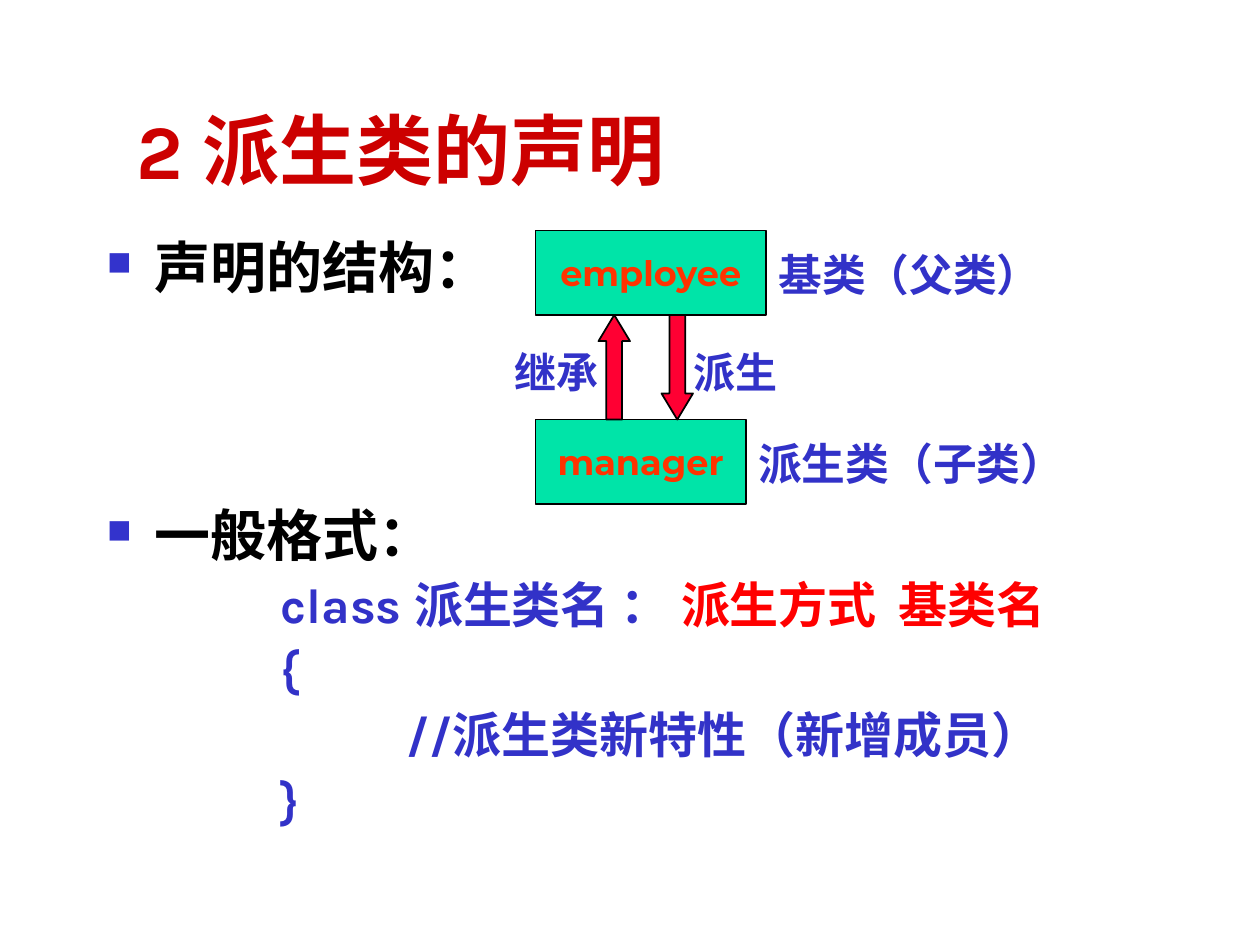
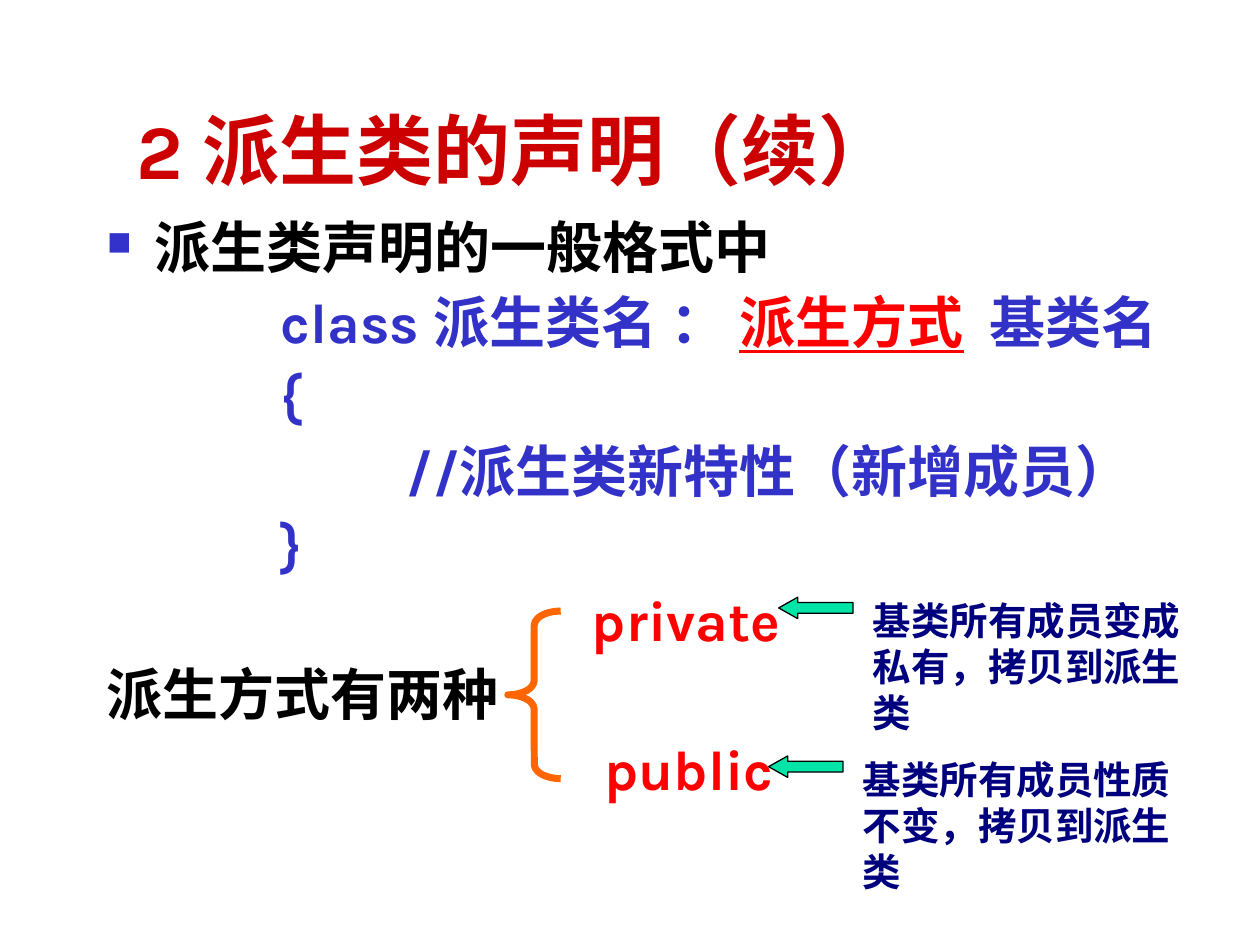
from lxml import etree
from pptx import Presentation
from pptx.dml.color import RGBColor
from pptx.enum.shapes import MSO_SHAPE
from pptx.enum.text import MSO_ANCHOR, MSO_AUTO_SIZE, PP_ALIGN
from pptx.oxml.ns import qn
from pptx.util import Inches, Pt

RECT, UP_ARROW = MSO_SHAPE.RECTANGLE, MSO_SHAPE.UP_ARROW
LEFT_ARROW, LEFT_BRACE = MSO_SHAPE.LEFT_ARROW, MSO_SHAPE.LEFT_BRACE
LEFT, CENTER = PP_ALIGN.LEFT, PP_ALIGN.CENTER
MIDDLE, BOTTOM = MSO_ANCHOR.MIDDLE, MSO_ANCHOR.BOTTOM

COLORS = {
    "title": "CC0000", "text": "000000", "code": "3232C8", "key": "FF0000",
    "bullet": "3333CC", "box": "00E4A8", "box_text": "FF3300",
    "arrow": "FF0033", "line": "000000", "brace": "FF6600", "note": "00007E",
}
BODY_FONT, BOX_FONT, LABEL_FONT = "Karla", "Montserrat", "Times New Roman"
HANG, CODE_INDENT, COMMENT_INDENT = 0.38, 1.38, 2.38


def rgb(name):
    return RGBColor.from_string(COLORS[name])


def format_run(r, size, font, color, underline=False):
    r.font.size = Pt(size)
    r.font.name = font
    r.font.bold = True
    r.font.color.rgb = rgb(color)
    if underline:
        r.font.underline = True


def add_title(s, text):
    sp = s.shapes.title
    sp.left, sp.top, sp.width, sp.height = [Inches(v) for v in (0.98, 0.6, 8.52, 1)]
    tf = sp.text_frame
    tf.text = text
    tf.vertical_anchor = BOTTOM
    tf.auto_size = MSO_AUTO_SIZE.NONE
    p = tf.paragraphs[0]
    p.alignment = LEFT
    format_run(p.runs[0], 44, BODY_FONT, "title")


def add_text_box(s, left, top, width, height):
    sp = s.shapes.add_textbox(*[Inches(v) for v in (left, top, width, height)])
    sp.text_frame.word_wrap = True
    return sp.text_frame


def set_indent(p, left, bullet):
    pPr = p._p.get_or_add_pPr()
    pPr.set("marL", str(Inches(left)))
    pPr.set("indent", str(Inches(-HANG if bullet else 0)))
    if bullet:
        color = etree.SubElement(pPr, qn("a:buClr"))
        etree.SubElement(color, qn("a:srgbClr"), val=COLORS["bullet"])
        etree.SubElement(pPr, qn("a:buSzPct"), val="60000")
        etree.SubElement(pPr, qn("a:buChar"), char="■")


def add_line(tf, parts, size, indent=CODE_INDENT, before=None, bullet=False):
    first = not tf.paragraphs[0].runs
    p = tf.paragraphs[0] if first else tf.add_paragraph()
    set_indent(p, indent, bullet)
    p.line_spacing = 0.9
    if not first:
        p.space_before = Pt(size / 4 if before is None else before)
    for text, color, *underline in parts:
        r = p.add_run()
        r.text = text
        format_run(r, size, BODY_FONT, color, bool(underline))


def add_heading(tf, text, before=None):
    add_line(tf, [(text, "text")], 32, HANG, before, bullet=True)


def add_class_code(tf, size, base_parts):
    add_line(tf, [("class 派生类名 ： ", "code"), *base_parts], size)
    add_line(tf, [("{", "code")], size)
    add_line(tf, [("//派生类新特性（新增成员）", "code")], size, COMMENT_INDENT)
    add_line(tf, [("}", "code")], size)


def add_label(s, text, left, top, width, height, size, color="code", align=LEFT):
    tf = add_text_box(s, left, top, width, height)
    tf.text = text
    p = tf.paragraphs[0]
    p.alignment = align
    format_run(p.runs[0], size, LABEL_FONT, color)


def add_shape(s, kind, left, top, width, height, fill=None, line="line",
              weight=1, adjustments=()):
    sp = s.shapes.add_shape(kind, *[Inches(v) for v in (left, top, width, height)])
    sp.shadow.inherit = False
    if fill:
        sp.fill.solid()
        sp.fill.fore_color.rgb = rgb(fill)
    else:
        sp.fill.background()
    sp.line.color.rgb = rgb(line)
    sp.line.width = Pt(weight)
    for i, value in enumerate(adjustments):
        sp.adjustments[i] = value
    return sp


def add_class_box(s, name, role, top, width):
    left = 4.25
    sp = add_shape(s, RECT, left, top, width, 0.67, "box")
    tf = sp.text_frame
    tf.word_wrap = False
    tf.vertical_anchor = MIDDLE
    tf.text = name
    p = tf.paragraphs[0]
    p.alignment = CENTER
    format_run(p.runs[0], 20, BOX_FONT, "box_text")
    add_label(s, role, left + width, top + 0.09, 3.42, 0.52, 25)


def add_relation(s, text, arrow_left, label_left, rotation):
    sp = add_shape(s, UP_ARROW, arrow_left, 2.5, 0.25, 0.83, "arrow",
                   adjustments=(0.5, 0.83))
    sp.rotation = rotation
    add_label(s, text, label_left, 2.7, 1.17, 0.5, 24, align=CENTER)


def add_note(s, text, left, top):
    add_label(s, text, left + 0.65, top - 0.05, 2.85, 1.2, 22, "note")
    add_shape(s, LEFT_ARROW, left, top, 0.59, 0.17, "box", weight=0.75,
              adjustments=(0.5, 0.89))


def add_slide(prs, title):
    s = prs.slides.add_slide(prs.slide_layouts[5])
    add_title(s, title)
    return s


def build_declaration(prs):
    s = add_slide(prs, "2 派生类的声明")
    tf = add_text_box(s, 0.75, 1.86, 9.04, 4.85)
    add_heading(tf, "声明的结构：")
    add_heading(tf, "一般格式：", before=118.5)
    add_class_code(tf, 28, [("派生方式  基类名", "key")])
    add_class_box(s, "employee", "基类（父类）", 1.83, 1.83)
    add_class_box(s, "manager", "派生类（子类）", 3.33, 1.67)
    add_relation(s, "继承", 4.75, 3.83, 0)
    add_relation(s, "派生", 5.25, 5.25, 180)


def build_derivation_modes(prs):
    s = add_slide(prs, "2 派生类的声明（续）")
    tf = add_text_box(s, 0.75, 1.7, 9.04, 4.85)
    add_heading(tf, "派生类声明的一般格式中")
    add_class_code(tf, 32, [("派生方式", "key", True), ("  基类名", "code")])
    add_line(tf, [("private", "key")], 32, 3.85)
    add_line(tf, [("派生方式有两种", "text")], 32, 0)
    add_line(tf, [("public", "key")], 32, 3.95)
    add_shape(s, LEFT_BRACE, 4.03, 4.85, 0.42, 1.33, line="brace", weight=4,
              adjustments=(0.27, 0.5))
    add_note(s, "基类所有成员变成私有，拷贝到派生类", 6.18, 4.74)
    add_note(s, "基类所有成员性质不变，拷贝到派生类", 6.1, 6)


def main():
    prs = Presentation()
    prs.slide_width, prs.slide_height = Inches(10), Inches(7.5)
    build_declaration(prs)
    build_derivation_modes(prs)
    prs.save("out.pptx")


if __name__ == "__main__":
    main()
